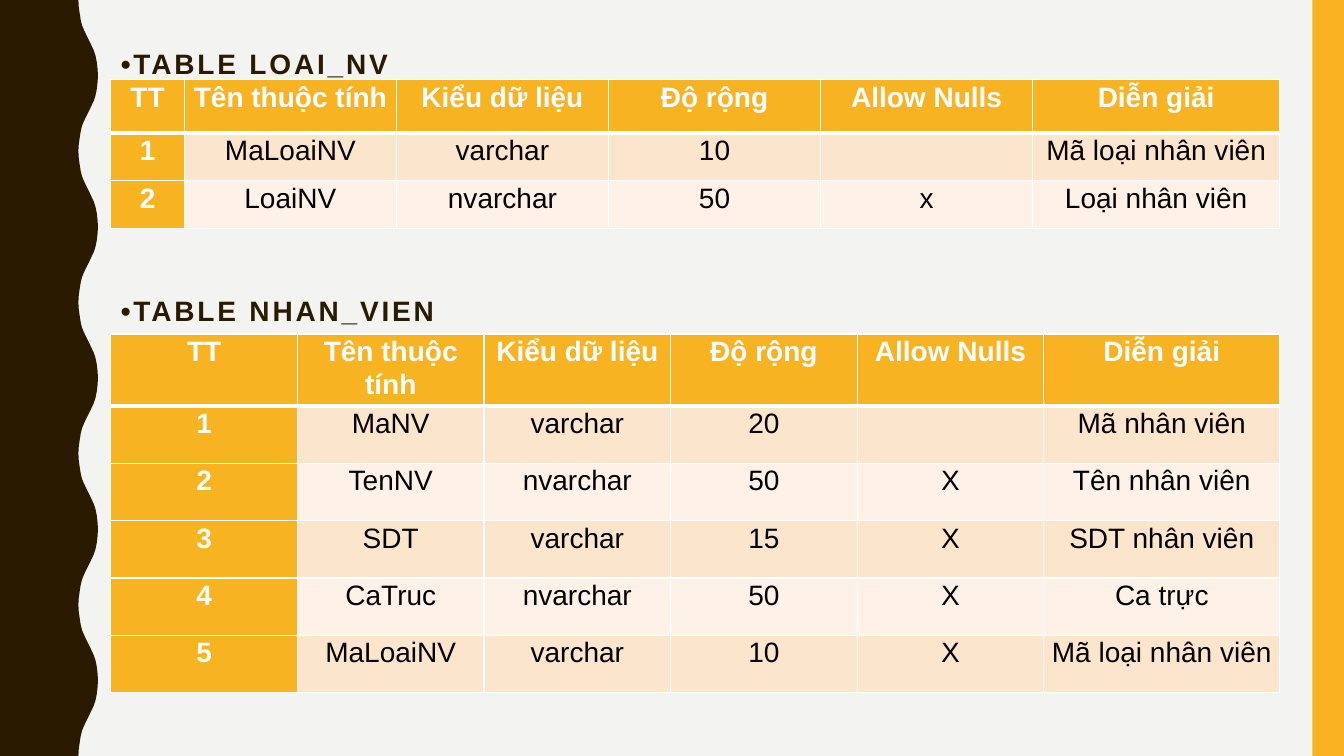
from dataclasses import dataclass

from lxml import etree
from pptx import Presentation
from pptx import util as u
from pptx.dml.color import RGBColor
from pptx.enum import shapes, text
from pptx.oxml.ns import qn


@dataclass(frozen=True)
class Theme:
    font: str = "Arial"
    size: int = 20
    page: str = "F3F3F2"
    dark: str = "2A1A00"
    gold: str = "F8B323"
    odd: str = "FCE5CD"
    even: str = "FEF2E8"
    white: str = "FFFFFF"
    black: str = "000000"


class Deck:
    def __init__(self, slide, theme):
        self.slide, self.theme = slide, theme
        self.paint(slide.background, theme.page)

    def paint(self, item, color):
        item.fill.solid()
        item.fill.fore_color.rgb = RGBColor.from_string(color)

    def style(self, para, color, bold):
        for run in para.runs:
            font = run.font
            font.name, font.size, font.bold = self.theme.font, u.Pt(self.theme.size), bold
            font.color.rgb = RGBColor.from_string(color)

    def plain(self, shape, color):
        self.paint(shape, color)
        shape.line.fill.background()
        shape.shadow.inherit = False

    def wave(self, half, count, span):
        period = half + [(x, span - y) for x, y in half[-2:0:-1]]
        edge = [(x, y + span * i) for i in range(count) for x, y in period]
        points = edge + [(half[0][0], span * count), (0, span * count)]
        path = self.slide.shapes.build_freeform(0, 0)
        path.add_line_segments([(u.Pt(x), u.Pt(y)) for x, y in points], close=True)
        self.plain(path.convert_to_shape(), self.theme.dark)

    def bar(self, x, y, w, h):
        kind = shapes.MSO_SHAPE.RECTANGLE
        box = self.slide.shapes.add_shape(kind, u.Pt(x), u.Pt(y), u.Pt(w), u.Pt(h))
        self.plain(box, self.theme.gold)

    def title(self, words, x, y, w, h):
        box = self.slide.shapes.add_textbox(u.Pt(x), u.Pt(y), u.Pt(w), u.Pt(h))
        frame = box.text_frame
        frame.word_wrap = True
        frame.margin_top = u.Pt(3)
        frame.text = words
        para = frame.paragraphs[0]
        self.style(para, self.theme.dark, True)
        para.runs[0].font._element.set("spc", "200")

    def edge(self, cell, side, width):
        props = cell._tc.get_or_add_tcPr()
        line = etree.SubElement(props, qn("a:ln" + side), w=str(u.Pt(width)))
        fill = etree.SubElement(line, qn("a:solidFill"))
        etree.SubElement(fill, qn("a:srgbClr"), val=self.theme.white)

    def cell(self, cell, words, row, col):
        for side in "LRTB":
            thick = (side, row) in (("B", 0), ("T", 1))
            self.edge(cell, side, 3 if thick else 1)
        head = row == 0 or col == 0
        band = self.theme.odd if row % 2 else self.theme.even
        self.paint(cell, self.theme.gold if head else band)
        cell.margin_left = cell.margin_right = u.Pt(5)
        cell.margin_top = cell.margin_bottom = 0
        cell.text_frame.text = words
        para = cell.text_frame.paragraphs[0]
        para.alignment = text.PP_ALIGN.CENTER
        para.line_spacing = 1.07
        self.style(para, self.theme.white if head else self.theme.black, head)

    def table(self, rows, x, y, widths, heights):
        frame = self.slide.shapes.add_table(
            len(rows), len(widths), u.Pt(x), u.Pt(y),
            u.Pt(sum(widths)), u.Pt(sum(heights)))
        grid = frame.table
        for col, width in zip(grid.columns, widths):
            col.width = u.Pt(width)
        for row, height in zip(grid.rows, heights):
            row.height = u.Pt(height)
        for r, row in enumerate(rows):
            for c, words in enumerate(row):
                self.cell(grid.cell(r, c), words, r, c)


HEAD = ["TT", "Tên thuộc tính", "Kiểu dữ liệu", "Độ rộng", "Allow Nulls", "Diễn giải"]
TYPES = [
    HEAD,
    ["1", "MaLoaiNV", "varchar", "10", "", "Mã loại nhân viên"],
    ["2", "LoaiNV", "nvarchar", "50", "x", "Loại nhân viên"],
]
STAFF = [
    HEAD,
    ["1", "MaNV", "varchar", "20", "", "Mã nhân viên"],
    ["2", "TenNV", "nvarchar", "50", "X", "Tên nhân viên"],
    ["3", "SDT", "varchar", "15", "X", "SDT nhân viên"],
    ["4", "CaTruc", "nvarchar", "50", "X", "Ca trực"],
    ["5", "MaLoaiNV", "varchar", "10", "X", "Mã loại nhân viên"],
]
CURVE = [
    (56, 0), (56.3, 5), (57, 10), (57.7, 14.4), (58.6, 18), (59.8, 21), (61.2, 24),
    (62.7, 27), (64.2, 30), (65.6, 33), (67, 36), (68.2, 39.6), (69.1, 44),
    (69.7, 49), (70, 54),
]


def main():
    prs = Presentation()
    prs.slide_width, prs.slide_height = u.Pt(960), u.Pt(540)
    deck = Deck(prs.slides.add_slide(prs.slide_layouts[6]), Theme())
    left, wide = 79.2, 835
    deck.wave(CURVE, 5, 108)
    deck.bar(937.5, 0, 22.5, 540)
    deck.title("•TABLE LOAI_NV", left, 30, wide, 32)
    deck.table(TYPES, left, 57, [52.5] + [151.5] * 4 + [176.5], [38, 34, 34])
    deck.title("•TABLE NHAN_VIEN", left, 206.5, wide, 32)
    deck.table(STAFF, left, 238.5, [133.3] * 5 + [168.5], [48] + [41] * 5)
    prs.save("out.pptx")


if __name__ == "__main__":
    main()
